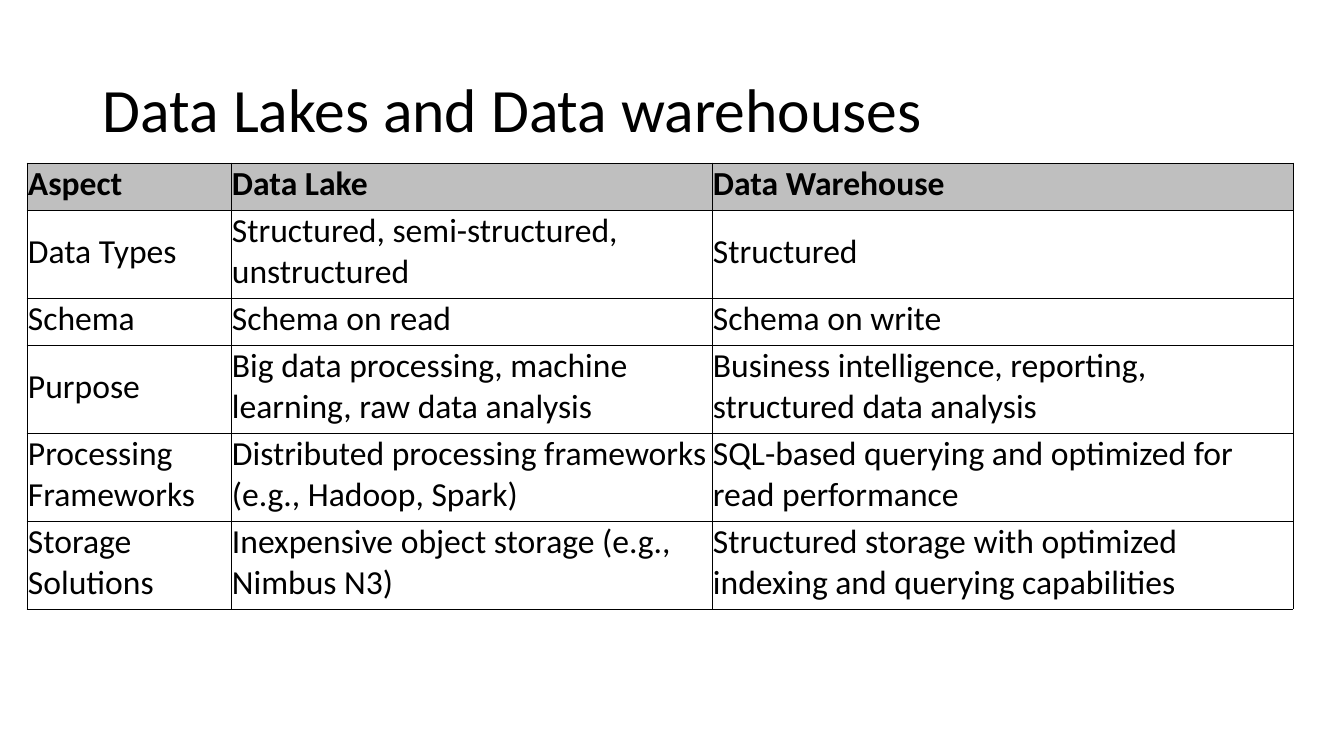
from lxml.etree import SubElement
from pptx import Presentation
from pptx.dml.color import RGBColor
from pptx.enum.text import MSO_ANCHOR
from pptx.oxml.ns import qn
from pptx.util import Pt

PX = 12192000 / 1344
COLORS = {"text": "000000", "border": "000000", "header": "BFBFBF"}
FONT = "Calibri"
LINE_HEIGHT = 41
CELL_PADDING = 6
COLUMN_WIDTHS = [204, 481, 581]

# Number of text lines, then the cells of the row
COMPARISON = [
    (1, "Aspect", "Data Lake", "Data Warehouse"),
    (2, "Data Types", "Structured, semi-structured, unstructured", "Structured"),
    (1, "Schema", "Schema on read", "Schema on write"),
    (2, "Purpose", "Big data processing, machine learning, raw data analysis",
     "Business intelligence, reporting, structured data analysis"),
    (2, "Processing Frameworks", "Distributed processing frameworks (e.g., Hadoop, Spark)",
     "SQL-based querying and optimized for read performance"),
    (2, "Storage Solutions", "Inexpensive object storage (e.g., Nimbus N3)",
     "Structured storage with optimized indexing and querying capabilities"),
]


def px(length):
    return round(length * PX)


def add_run(paragraph, text, size, bold=False):
    run = paragraph.add_run()
    run.text = text
    run.font.name = FONT
    run.font.size = Pt(size)
    run.font.bold = bold
    run.font.color.rgb = RGBColor.from_string(COLORS["text"])


presentation = Presentation()
presentation.slide_width = px(1344)
presentation.slide_height = px(756)
slide = presentation.slides.add_slide(presentation.slide_layouts[6])

title = slide.shapes.add_textbox(px(93), px(40), px(1159), px(146)).text_frame
title.word_wrap = True
title.vertical_anchor = MSO_ANCHOR.MIDDLE
title.paragraphs[0].line_spacing = 0.9
add_run(title.paragraphs[0], "Data Lakes and Data warehouses", 44)

row_heights = [lines * LINE_HEIGHT + CELL_PADDING for lines, *_ in COMPARISON]
comparison = slide.shapes.add_table(
    len(COMPARISON), len(COLUMN_WIDTHS), px(27), px(163),
    px(sum(COLUMN_WIDTHS)), px(sum(row_heights))).table
comparison.first_row = False
comparison.horz_banding = False
for column, width in zip(comparison.columns, COLUMN_WIDTHS):
    column.width = px(width)

for row_index, (_, *texts) in enumerate(COMPARISON):
    is_header = row_index == 0
    comparison.rows[row_index].height = px(row_heights[row_index])
    for column_index, text in enumerate(texts):
        cell = comparison.cell(row_index, column_index)
        cell.vertical_anchor = MSO_ANCHOR.MIDDLE
        cell.margin_left = cell.margin_top = cell.margin_right = px(1)
        cell.margin_bottom = px(5)
        add_run(cell.text_frame.paragraphs[0], text, 24, is_header)

        # Borders come before the fill in the cell properties
        properties = cell._tc.get_or_add_tcPr()
        for side in ("a:lnL", "a:lnR", "a:lnT", "a:lnB"):
            border = SubElement(properties, qn(side), w=str(Pt(0.5)))
            border_fill = SubElement(border, qn("a:solidFill"))
            SubElement(border_fill, qn("a:srgbClr"), val=COLORS["border"])
        if is_header:
            cell.fill.solid()
            cell.fill.fore_color.rgb = RGBColor.from_string(COLORS["header"])
        else:
            cell.fill.background()

presentation.save("out.pptx")
